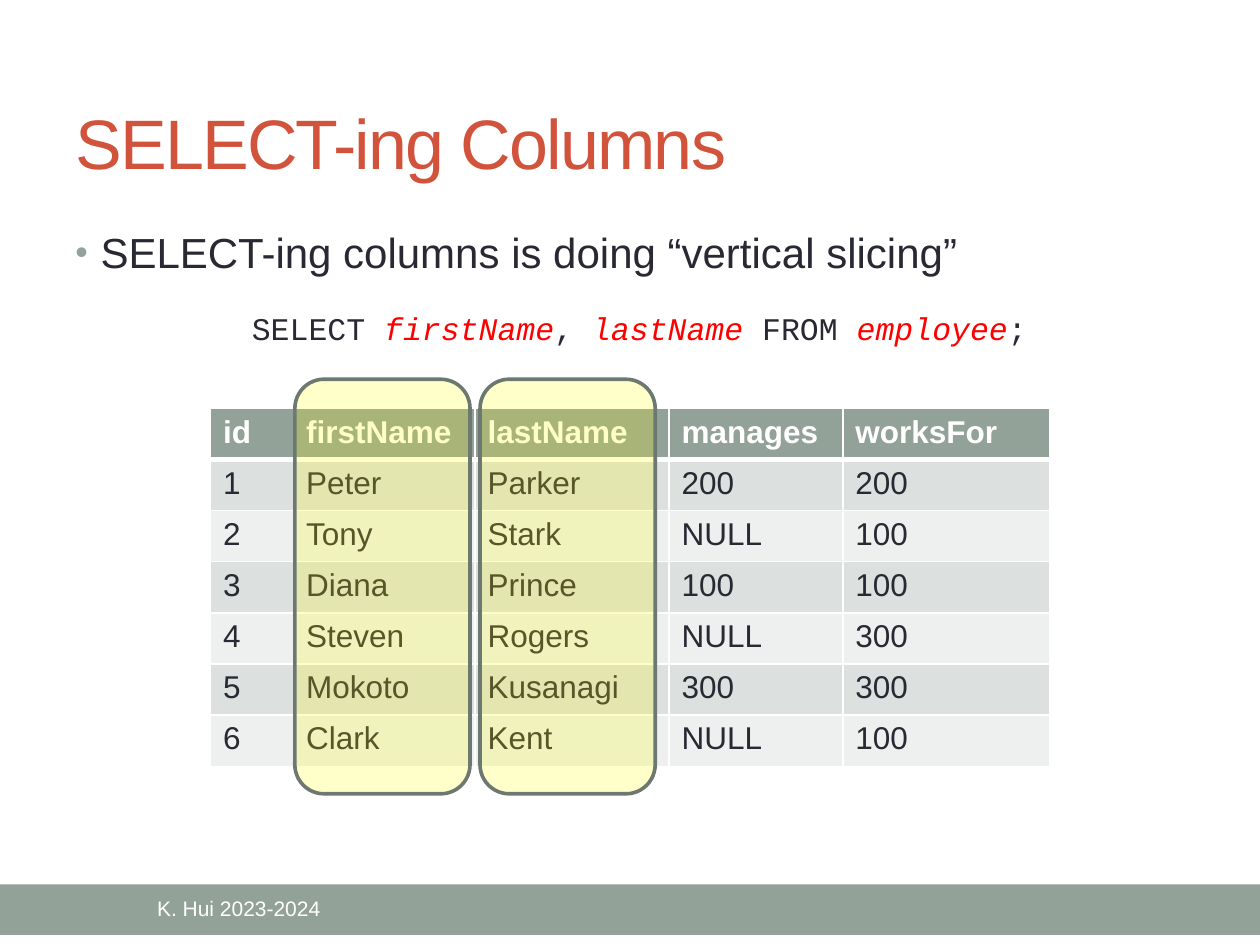
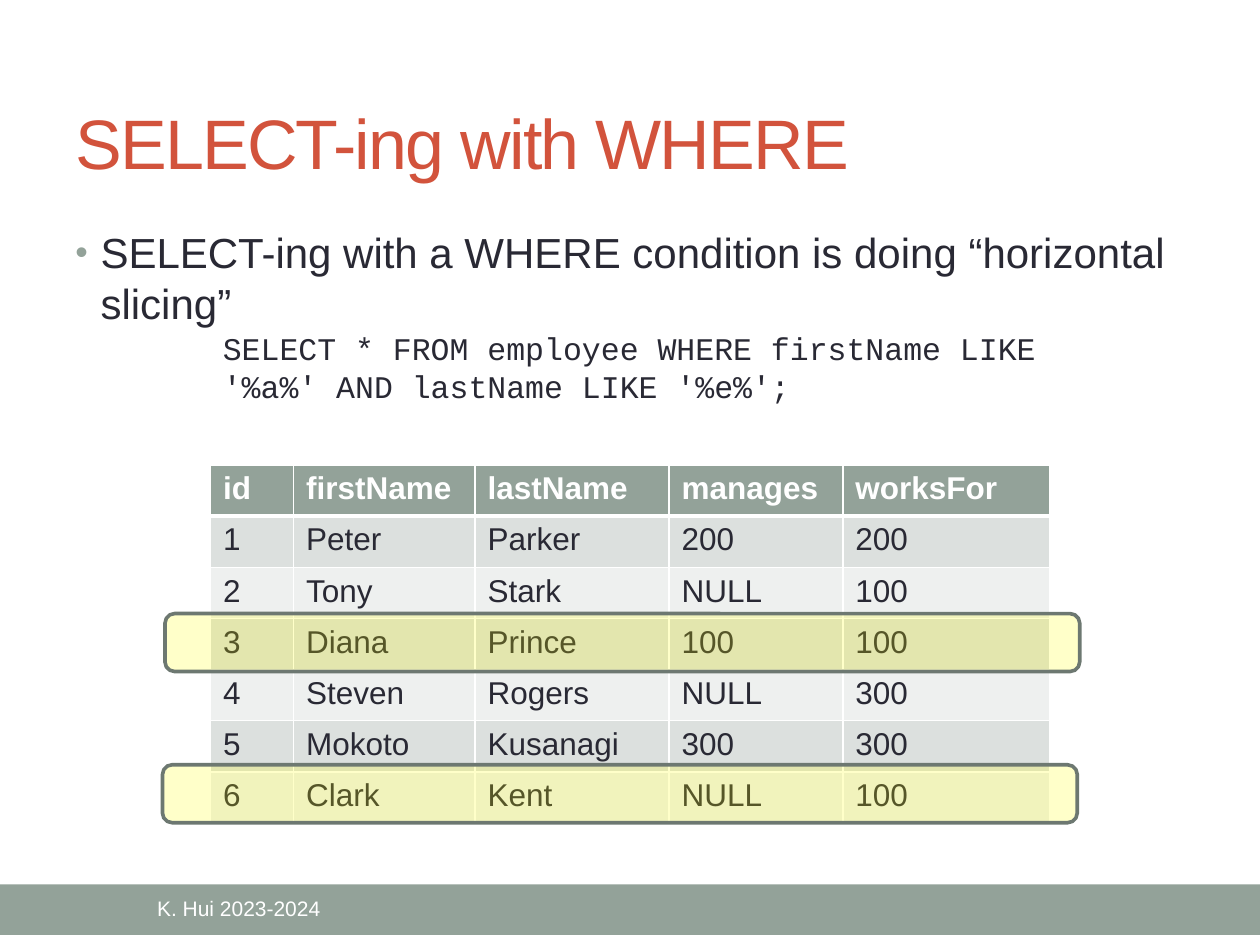
from lxml import etree
from pptx import Presentation
from pptx.dml.color import RGBColor
from pptx.enum.shapes import MSO_SHAPE
from pptx.enum.text import MSO_ANCHOR, PP_ALIGN
from pptx.oxml.ns import qn
from pptx.util import Inches, Pt

RECTANGLE, ROUNDED = MSO_SHAPE.RECTANGLE, MSO_SHAPE.ROUNDED_RECTANGLE
TOP, MIDDLE = MSO_ANCHOR.TOP, MSO_ANCHOR.MIDDLE
LEFT, CENTER = PP_ALIGN.LEFT, PP_ALIGN.CENTER
GRID_COLUMNS, GRID_ROWS = 100, 75

HEADER = ["id", "firstName", "lastName", "manages", "worksFor"]
EMPLOYEES = [
    ["1", "Peter", "Parker", "200", "200"],
    ["2", "Tony", "Stark", "NULL", "100"],
    ["3", "Diana", "Prince", "100", "100"],
    ["4", "Steven", "Rogers", "NULL", "300"],
    ["5", "Mokoto", "Kusanagi", "300", "300"],
    ["6", "Clark", "Kent", "NULL", "100"],
]
COLUMN_WIDTHS = [6.6, 14.4, 15.4, 13.8, 16.4]
ROW_HEIGHT = 4.06


def color(value):
    return RGBColor.from_string(value)


def add_xml(parent, tag, **attributes):
    element = etree.SubElement(parent, qn(tag))
    for name, value in attributes.items():
        element.set(name, str(value))
    return element


class Deck:
    """Holds the style and the current slide; lengths are grid cells."""

    SAGE, EDGE, INK, TITLE = "93A299", "6D7871", "292934", "D2533C"
    WHITE, RED, YELLOW = "FFFFFF", "FF0000", "FFFF00"
    BANDS = ["DCE0DE", "EEF0EF"]
    BODY_FONT, CODE_FONT = "Arial", "Courier New"

    def __init__(self):
        self.presentation = Presentation()
        self.presentation.slide_width = Inches(10)
        self.presentation.slide_height = Inches(7.5)
        self.slide = None

    def place(self, left, top, width, height):
        across = self.presentation.slide_width / GRID_COLUMNS
        down = self.presentation.slide_height / GRID_ROWS
        return (round(left * across), round(top * down),
                round(width * across), round(height * down))

    def style(self, paragraph, size, ink, font=BODY_FONT, bold=False):
        paragraph.font.name = font
        paragraph.font.size = Pt(size)
        paragraph.font.bold = bold
        paragraph.font.color.rgb = color(ink)

    def text(self, words, area, size, ink, anchor=TOP, align=LEFT,
             font=BODY_FONT, wrap=True):
        frame = self.slide.shapes.add_textbox(*self.place(*area)).text_frame
        frame.word_wrap = wrap
        frame.vertical_anchor = anchor
        paragraph = frame.paragraphs[0]
        paragraph.alignment = align
        paragraph.add_run().text = words
        self.style(paragraph, size, ink, font)
        return paragraph

    def shape(self, kind, area, fill, line=None):
        shape = self.slide.shapes.add_shape(kind, *self.place(*area))
        shape.shadow.inherit = False
        shape.fill.solid()
        shape.fill.fore_color.rgb = color(fill)
        if line:
            shape.line.color.rgb = color(line)
            shape.line.width = Pt(2.08)
        else:
            shape.line.fill.background()
        return shape

    def start_slide(self, title):
        """Blank slide with the footer band, its text and the title."""
        layout = self.presentation.slide_layouts[6]
        self.slide = self.presentation.slides.add_slide(layout)
        self.shape(RECTANGLE, (0, 70.2, 100, 4), self.SAGE)
        self.text("K. Hui 2023-2024", (5, 70.3, 27.9, 3.6), 12, self.WHITE,
                  MIDDLE, CENTER)
        heading = self.text(title, (5, 5.8, 90, 10.8), 40, self.TITLE, MIDDLE)
        heading.runs[0]._r.get_or_add_rPr().set("spc", "-100")

    def bullet(self, words):
        paragraph = self.text(words, (5, 17.5, 90, 51.6), 24, self.INK)
        paragraph.space_before = Pt(4.8)
        properties = paragraph._p.get_or_add_pPr()
        properties.set("marL", str(Inches(0.2)))
        properties.set("indent", str(-Inches(0.2)))
        bullet_color = add_xml(properties, "a:buClr")
        add_xml(bullet_color, "a:srgbClr", val=self.SAGE)
        add_xml(properties, "a:buSzPct", val=85000)
        add_xml(properties, "a:buFont", typeface=self.BODY_FONT)
        add_xml(properties, "a:buChar", char="•")
        # Font defaults come last among the paragraph properties
        properties.append(properties.find(qn("a:defRPr")))

    def code(self, parts, area, wrap=True):
        """Code text; every second part is a name, in red italics."""
        paragraph = self.text(parts[0], area, 18, self.INK,
                              font=self.CODE_FONT, wrap=wrap)
        for index, part in enumerate(parts[1:], 1):
            run = paragraph.add_run()
            run.text = part
            if index % 2:
                run.font.italic = True
                run.font.color.rgb = color(self.RED)

    def borders(self, cell, top, bottom):
        properties = cell._tc.get_or_add_tcPr()
        widths = {"a:lnL": 1, "a:lnR": 1, "a:lnT": top, "a:lnB": bottom}
        for index, (tag, width) in enumerate(widths.items()):
            line = add_xml(properties, tag, w=Pt(width))
            add_xml(add_xml(line, "a:solidFill"), "a:srgbClr", val=self.WHITE)
            properties.insert(index, line)

    def employee_table(self, top):
        rows = [HEADER] + EMPLOYEES
        area = self.place(16.7, top, sum(COLUMN_WIDTHS), ROW_HEIGHT * len(rows))
        table = self.slide.shapes.add_table(len(rows), len(HEADER), *area).table
        table.horz_banding = False
        for column, width in zip(table.columns, COLUMN_WIDTHS):
            column.width = self.place(0, 0, width, 0)[2]
        for number, values in enumerate(rows):
            header = number == 0
            table.rows[number].height = self.place(0, 0, 0, ROW_HEIGHT)[3]
            fill = self.SAGE if header else self.BANDS[(number - 1) % 2]
            for position, value in enumerate(values):
                cell = table.cell(number, position)
                cell.text = value
                cell.fill.solid()
                cell.fill.fore_color.rgb = color(fill)
                self.style(cell.text_frame.paragraphs[0], 18,
                           self.WHITE if header else self.INK, bold=header)
                self.borders(cell, 3 if number == 1 else 1, 3 if header else 1)

    def highlight(self, *area):
        shape = self.shape(ROUNDED, area, self.YELLOW, self.EDGE)
        fill = shape._element.spPr.find(qn("a:solidFill"))
        add_xml(fill[0], "a:alpha", val=21000)


deck = Deck()

# Slide 1: picking columns
deck.start_slide("SELECT-ing Columns")
deck.bullet("SELECT-ing columns is doing “vertical slicing”")
deck.employee_table(top=32.4)
for index in range(2):
    deck.highlight(23.4 + 14.7 * index, 30.1, 13.9, 32.9)
deck.code(["SELECT ", "firstName", ", ", "lastName", " FROM ", "employee", ";"],
          (19, 24, 63.8, 7.1), wrap=False)

# Slide 2: picking rows
deck.start_slide("SELECT-ing with WHERE")
deck.bullet("SELECT-ing with a WHERE condition is doing “horizontal slicing”")
deck.employee_table(top=36.9)
for left, top in [(13.1, 48.7), (12.9, 60.7)]:
    deck.highlight(left, top, 72.6, 4.6)
deck.code(["SELECT * FROM employee WHERE firstName LIKE "
           "'%a%' AND lastName LIKE '%e%';"], (16.7, 25.6, 67.1, 10.1))

deck.presentation.save("out.pptx")
